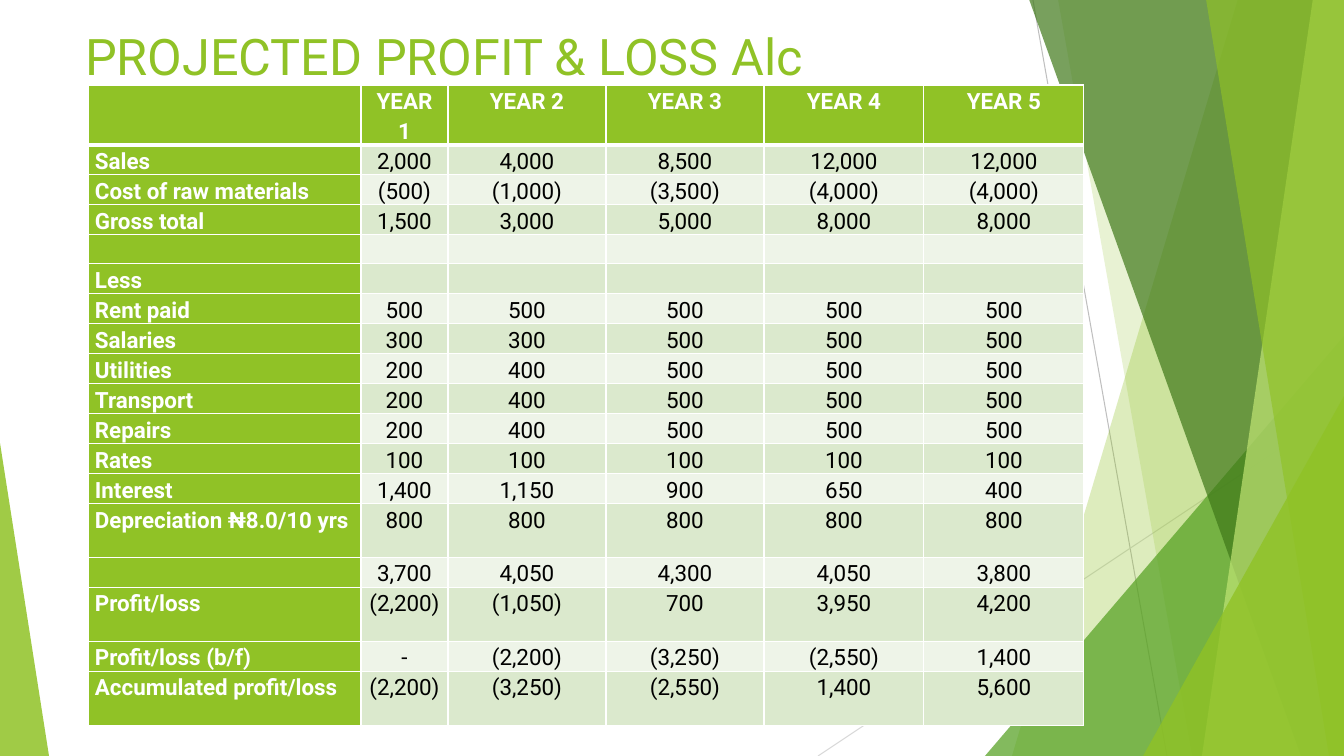
import pptx
import pptx.util
import pptx.dml.color
import pptx.enum.shapes
import pptx.enum.text
import pptx.oxml
import pptx.oxml.ns
import lxml.etree

RGB = pptx.dml.color.RGBColor
SHAPE = pptx.enum.shapes.MSO_SHAPE
ALIGN = pptx.enum.text.PP_ALIGN
ANCHOR = pptx.enum.text.MSO_ANCHOR
qn = pptx.oxml.ns.qn

SCALE = 914400 / 100.8
WIDE, HIGH = 1344, 756
FONT = "Roboto"

LIME = RGB(0x90, 0xC2, 0x26)
GREEN = RGB(0x54, 0xA0, 0x21)
FOREST = RGB(0x3F, 0x78, 0x19)
PALE = RGB(0xC0, 0xE4, 0x74)
BANDS = RGB(0xEE, 0xF4, 0xE8), RGB(0xDB, 0xE9, 0xCD)
GRAY = RGB(0xBF, 0xBF, 0xBF)
SILVER = RGB(0xD9, 0xD9, 0xD9)
WHITE = RGB(0xFF, 0xFF, 0xFF)
BLACK = RGB(0, 0, 0)

TITLE = "PROJECTED PROFIT & LOSS Alc"
TITLE_BOX = 75, 20, 948, 145

ROWS = [
    ("", "YEAR 1", "YEAR 2", "YEAR 3", "YEAR 4", "YEAR 5"),
    ("Sales", "2,000", "4,000", "8,500", "12,000", "12,000"),
    ("Cost of raw materials", "(500)", "(1,000)", "(3,500)", "(4,000)", "(4,000)"),
    ("Gross total", "1,500", "3,000", "5,000", "8,000", "8,000"),
    ("", "", "", "", "", ""),
    ("Less", "", "", "", "", ""),
    ("Rent paid", "500", "500", "500", "500", "500"),
    ("Salaries", "300", "300", "500", "500", "500"),
    ("Utilities", "200", "400", "500", "500", "500"),
    ("Transport", "200", "400", "500", "500", "500"),
    ("Repairs", "200", "400", "500", "500", "500"),
    ("Rates", "100", "100", "100", "100", "100"),
    ("Interest", "1,400", "1,150", "900", "650", "400"),
    ("Depreciation ₦8.0/10 yrs", "800", "800", "800", "800", "800"),
    ("", "3,700", "4,050", "4,300", "4,050", "3,800"),
    ("Profit/loss", "(2,200)", "(1,050)", "700", "3,950", "4,200"),
    ("Profit/loss (b/f)", "-", "(2,200)", "(3,250)", "(2,550)", "1,400"),
    ("Accumulated profit/loss", "(2,200)", "(3,250)", "(2,550)", "1,400", "5,600"),
]
TABLE_LEFT, TABLE_TOP = 88, 85
COLS = 273, 87, 158, 158, 160, 160
ROW_HIGH, TALL_HIGH = 29, 54
TALL = 0, 13, 15, 17

# start, end, color
LINES = [
    ((1033, 0), (1167, HIGH), GRAY),
    ((WIDE, 406), (818, HIGH), SILVER),
]
# top left x, bottom left x, color, opacity; each runs to the right edge
SHARDS_BACK = [(1238, 1012, LIME, 30), (1058, 1192, LIME, 20)]
SHARDS_FRONT = [
    (1029, 1301, FOREST, 70),
    (1313, 1202, PALE, 70),
    (1206, 1329, LIME, 65),
]
# left, top, width, apex position, color, opacity; each stands on the bottom edge
HILL = 985, 336, 359, 1, GREEN, 72
PEAKS = [(1143, 396, 201, 1, LIME, 80), (0, 443, 49, 0, LIME, 85)]


def emu(px):
    return pptx.util.Emu(round(px * SCALE))


def paint(shape, color, opacity):
    shape.shadow.inherit = False
    shape.line.fill.background()
    shape.fill.solid()
    shape.fill.fore_color.rgb = color
    tint = shape.fill._xPr.find(".//" + qn("a:srgbClr"))
    lxml.etree.SubElement(tint, qn("a:alpha"), val=str(opacity * 1000))


def add_line(shapes, start, end, color):
    line = shapes.add_connector(
        pptx.enum.shapes.MSO_CONNECTOR.STRAIGHT, *map(emu, start + end))
    line.line.color.rgb = color
    line.line.width = pptx.util.Pt(0.75)
    lxml.etree.SubElement(line._element.spPr, qn("a:effectLst"))


def add_shard(shapes, top_x, low_x, color, opacity):
    pen = shapes.build_freeform(top_x, -1, scale=SCALE)
    pen.add_line_segments([(WIDE, -1), (WIDE, HIGH), (low_x, HIGH)], close=True)
    paint(pen.convert_to_shape(), color, opacity)


def add_peak(shapes, left, top, width, apex, color, opacity):
    peak = shapes.add_shape(
        SHAPE.ISOSCELES_TRIANGLE, *map(emu, (left, top, width, HIGH - top)))
    peak.adjustments[0] = apex
    paint(peak, color, opacity)


def add_backdrop(shapes):
    for line in LINES:
        add_line(shapes, *line)
    for shard in SHARDS_BACK:
        add_shard(shapes, *shard)
    add_peak(shapes, *HILL)
    for shard in SHARDS_FRONT:
        add_shard(shapes, *shard)
    for peak in PEAKS:
        add_peak(shapes, *peak)


def set_title(shapes):
    """Fill the title and bring it in front of the backdrop."""
    title = shapes.title
    shapes._spTree.append(title._element)
    title.left, title.top, title.width, title.height = map(emu, TITLE_BOX)
    frame = title.text_frame
    frame.text = TITLE
    frame.word_wrap = True
    frame.vertical_anchor = ANCHOR.TOP
    set_text(frame.paragraphs[0], 36, LIME, False, ALIGN.LEFT)


def set_text(para, size, color, bold, align):
    para.alignment = align
    para.font.name = FONT
    para.font.size = pptx.util.Pt(size)
    para.font.color.rgb = color
    para.font.bold = bold


def set_edges(cell, top, bottom):
    """Draw white cell borders; top and bottom widths are in points."""
    props = cell._tc.get_or_add_tcPr()
    for side, width in zip("LRTB", (1, 1, top, bottom)):
        edge = lxml.etree.SubElement(
            props, qn("a:ln" + side), w=str(pptx.util.Pt(width)))
        fill = lxml.etree.SubElement(edge, qn("a:solidFill"))
        lxml.etree.SubElement(fill, qn("a:srgbClr"), val=str(WHITE))


def set_cell(cell, text, row, col):
    head = row == 0 or col == 0
    set_edges(cell, 3 if row == 1 else 1, 3 if row == 0 else 1)
    cell.fill.solid()
    cell.fill.fore_color.rgb = LIME if head else BANDS[row % 2]
    cell.margin_left = cell.margin_right = emu(7)
    cell.margin_top = cell.margin_bottom = 0
    cell.vertical_anchor = ANCHOR.TOP
    cell.text = text
    para = cell.text_frame.paragraphs[0]
    para.line_spacing = 1.15
    set_text(para, 16, WHITE if head else BLACK, head,
             ALIGN.CENTER if col else ALIGN.LEFT)


def add_accounts(shapes):
    highs = [TALL_HIGH if i in TALL else ROW_HIGH for i in range(len(ROWS))]
    box = map(emu, (TABLE_LEFT, TABLE_TOP, sum(COLS), sum(highs)))
    table = shapes.add_table(len(ROWS), len(COLS), *box).table
    table.first_row = table.horz_banding = False
    for col, width in zip(table.columns, COLS):
        col.width = emu(width)
    for row, high in zip(table.rows, highs):
        row.height = emu(high)
    for i, row in enumerate(ROWS):
        for j, text in enumerate(row):
            set_cell(table.cell(i, j), text, i, j)


def main():
    deck = pptx.Presentation()
    deck.slide_width, deck.slide_height = emu(WIDE), emu(HIGH)
    shapes = deck.slides.add_slide(deck.slide_layouts[5]).shapes
    add_backdrop(shapes)
    set_title(shapes)
    add_accounts(shapes)
    deck.save("out.pptx")


if __name__ == "__main__":
    main()
